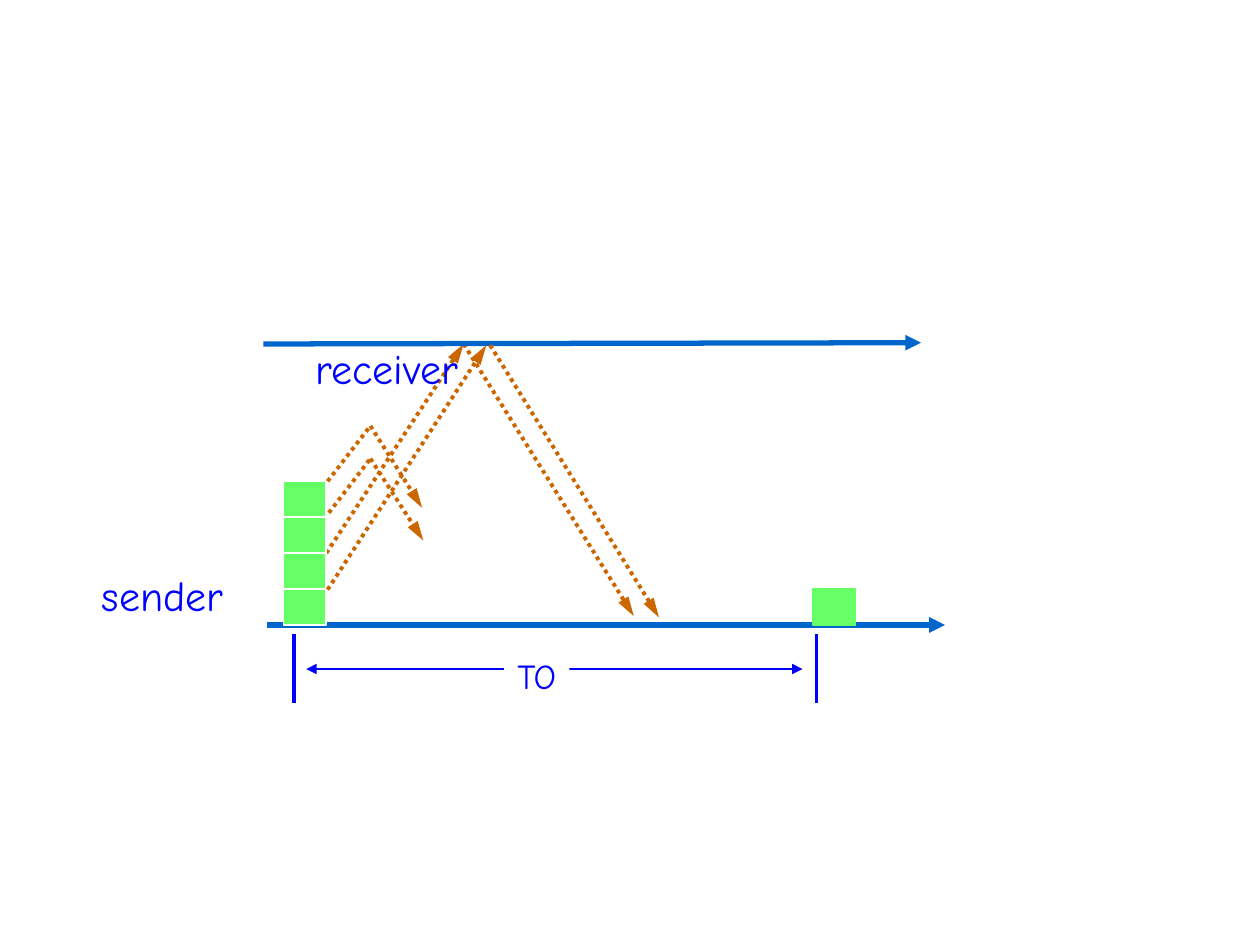
from lxml import etree
from pptx import Presentation
from pptx.dml.color import RGBColor
from pptx.enum.dml import MSO_LINE
from pptx.enum.shapes import MSO_CONNECTOR, MSO_SHAPE
from pptx.enum.text import MSO_ANCHOR, MSO_AUTO_SIZE, PP_ALIGN
from pptx.oxml.ns import qn
from pptx.util import Inches, Pt

STRAIGHT = MSO_CONNECTOR.STRAIGHT
RECTANGLE = MSO_SHAPE.RECTANGLE
DOTTED = MSO_LINE.ROUND_DOT
MIDDLE = MSO_ANCHOR.MIDDLE
FIT_SHAPE = MSO_AUTO_SIZE.SHAPE_TO_FIT_TEXT
CENTER = PP_ALIGN.CENTER

THEME = {
    "font": "Comic Neue",
    "label_size": Pt(24),
    "timeout_size": Pt(20),
    "text": RGBColor(0x00, 0x00, 0xFF),
    "axis": RGBColor(0x00, 0x66, 0xCC),
    "packet": RGBColor(0xCC, 0x66, 0x00),
    "block": RGBColor(0x66, 0xFF, 0x66),
    "white": RGBColor(0xFF, 0xFF, 0xFF),
}
AXIS = {"color": THEME["axis"], "width": Pt(3), "ends": ["tailEnd"], "length": "med"}
FLIGHT = {
    "color": THEME["packet"],
    "width": Pt(2.25),
    "dash": DOTTED,
    "ends": ["tailEnd"],
    "length": "lg",
}
LOST = {**FLIGHT, "ends": []}
SPAN = {
    "color": THEME["text"],
    "width": Pt(1.5),
    "ends": ["headEnd", "tailEnd"],
    "length": "med",
}
TICK = {"color": THEME["text"], "width": Pt(2.25), "ends": []}

BLOCK_WIDTH, BLOCK_HEIGHT, BLOCK_STEP = 0.34, 0.29, 0.285
BLOCK_BASE, STACK_LEFT, RESENT_LEFT = 4.67, 2.25, 6.45

presentation = Presentation()
presentation.slide_width = Inches(10)
presentation.slide_height = Inches(7.5)
slide = presentation.slides.add_slide(presentation.slide_layouts[6])


def add_line(x1, y1, x2, y2, style):
    connector = slide.shapes.add_connector(
        STRAIGHT, Inches(x1), Inches(y1), Inches(x2), Inches(y2)
    )
    connector.line.color.rgb = style["color"]
    connector.line.width = style["width"]
    if "dash" in style:
        connector.line.dash_style = style["dash"]
    outline = connector.line._get_or_add_ln()
    for end in style["ends"]:
        etree.SubElement(outline, qn("a:" + end), type="triangle", len=style["length"])
    etree.SubElement(connector._element.spPr, qn("a:effectLst"))


def add_label(text, left, top, width, height, size):
    shape = slide.shapes.add_textbox(Inches(left), Inches(top), Inches(width), Inches(height))
    frame = shape.text_frame
    frame.text = text
    frame.word_wrap = False
    frame.auto_size = FIT_SHAPE
    paragraph = frame.paragraphs[0]
    paragraph.alignment = CENTER
    font_format = {"name": THEME["font"], "size": size}
    for name, value in font_format.items():
        setattr(paragraph.font, name, value)
    paragraph.font.color.rgb = THEME["text"]
    return shape


blocks = [(RESENT_LEFT, BLOCK_BASE, THEME["block"])]
blocks += [(STACK_LEFT, BLOCK_BASE - row * BLOCK_STEP, THEME["white"]) for row in range(4)]

for x1, y1, x2, y2, style in [
    (2.59, 4.39, 3.68, 2.73, FLIGHT),
    (3.68, 2.73, 5.03, 4.89, FLIGHT),
    (2.12, 4.96, 7.5, 4.96, AXIS),
    (2.09, 2.73, 7.31, 2.72, AXIS),
]:
    add_line(x1, y1, x2, y2, style)

add_label("sender", 0.69, 4.47, 1.2, 0.5, THEME["label_size"])
add_label("receiver", 2.4, 2.67, 1.34, 0.5, THEME["label_size"])

for left, top, border in blocks:
    block = slide.shapes.add_shape(
        RECTANGLE, Inches(left), Inches(top), Inches(BLOCK_WIDTH), Inches(BLOCK_HEIGHT)
    )
    block.shadow.inherit = False
    block.fill.solid()
    block.fill.fore_color.rgb = THEME["block"]
    block.line.color.rgb = border
    block.line.width = Pt(1)

for x1, y1, x2, y2, style in [
    (2.6, 4.68, 3.86, 2.74, FLIGHT),
    (2.6, 3.82, 2.94, 3.38, LOST),
    (2.94, 3.38, 3.35, 4.03, FLIGHT),
    (3.89, 2.74, 5.23, 4.9, FLIGHT),
    (2.61, 4.07, 2.94, 3.64, LOST),
    (2.94, 3.64, 3.36, 4.29, FLIGHT),
    (2.43, 5.31, 6.37, 5.31, SPAN),
]:
    add_line(x1, y1, x2, y2, style)

timeout = add_label("TO", 4, 5.14, 0.52, 0.44, THEME["timeout_size"])
timeout.text_frame.vertical_anchor = MIDDLE
timeout.fill.solid()
timeout.fill.fore_color.rgb = THEME["white"]

for x in (2.33, 6.48):
    add_line(x, 5.03, x, 5.58, TICK)

presentation.save("out.pptx")
